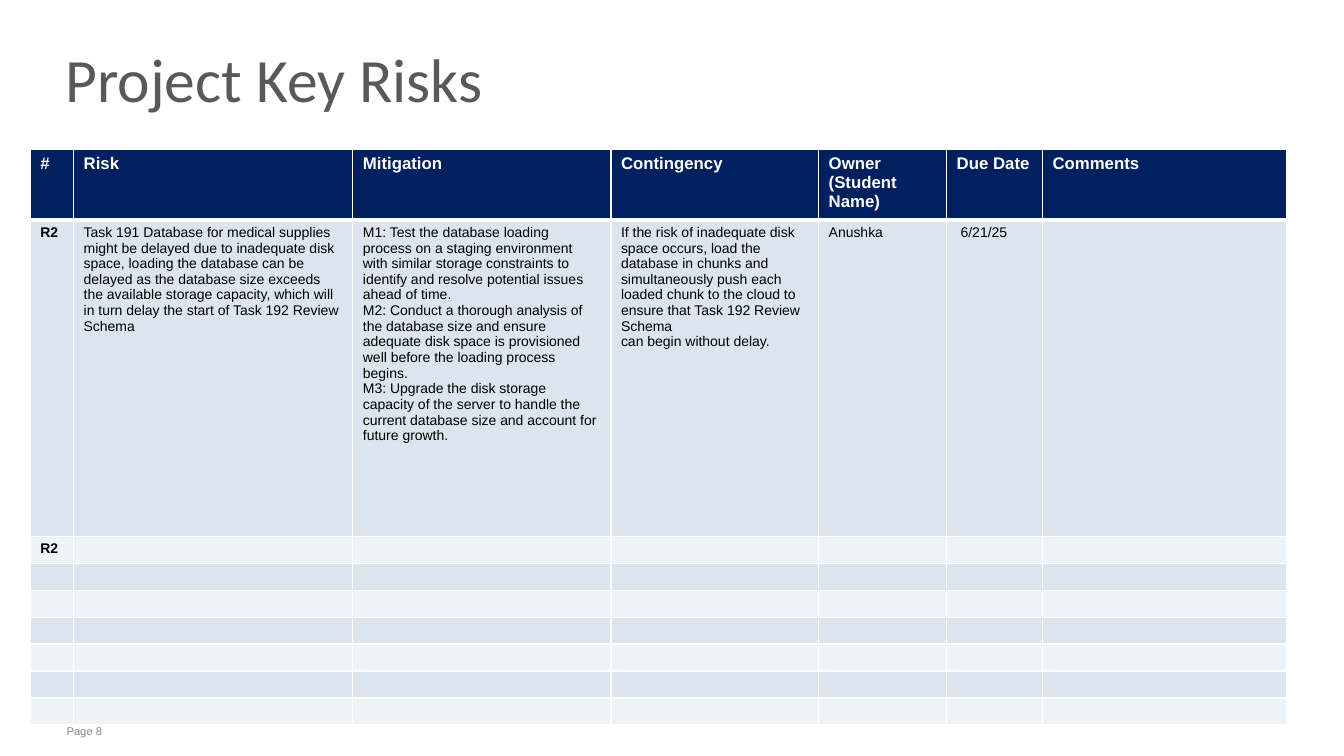
import pptx
import pptx.dml.color
import pptx.enum.text
import pptx.oxml.ns
import pptx.util
from lxml import etree

Inches = pptx.util.Inches
Pt = pptx.util.Pt
qn = pptx.oxml.ns.qn

COLUMNS = [0.43, 2.77, 2.56, 2.06, 1.27, 0.95, 2.42]
ROWS = [0.65, 3.14] + [0.25] * 7
HEADER = ["#", "Risk", "Mitigation", "Contingency", "Owner\n(Student Name)", "Due Date", "Comments"]
DATABASE_RISK = [
    "R2",
    "Task 191 Database for medical supplies might be delayed due to inadequate disk space, "
    "loading the database can be delayed as the database size exceeds the available storage "
    "capacity, which will in turn delay the start of Task 192 Review Schema",
    "M1: Test the database loading process on a staging environment with similar storage "
    "constraints to identify and resolve potential issues ahead of time.\n"
    "M2: Conduct a thorough analysis of the database size and ensure adequate disk space is "
    "provisioned well before the loading process begins.\n"
    "M3: Upgrade the disk storage capacity of the server to handle the current database size "
    "and account for future growth.",
    "If the risk of inadequate disk space occurs, load the database in chunks and "
    "simultaneously push each loaded chunk to the cloud to ensure that Task 192 Review Schema\n"
    "can begin without delay.",
    "Anushka",
    " 6/21/25",
]
RISKS = [HEADER, DATABASE_RISK, ["R2"]]


def rgb(color):
    """Turn a hex string into a colour."""
    return pptx.dml.color.RGBColor.from_string(color)


def set_font(p, name, size, color, bold=False):
    """Set the font of a whole paragraph."""
    p.font.name = name
    p.font.size = Pt(size)
    p.font.bold = bold
    p.font.color.rgb = rgb(color)


def add_text(slide, box, text, name, size, color, inset):
    """Place one line of text in a box and return its frame."""
    tf = slide.shapes.add_textbox(*map(Inches, box)).text_frame
    tf.word_wrap = True
    tf.margin_left = tf.margin_right = Inches(0.08)
    tf.margin_top = tf.margin_bottom = Inches(inset)
    tf.text = text
    set_font(tf.paragraphs[0], name, size, color)
    return tf


def add_title(slide, box):
    """Place the slide title."""
    tf = add_text(slide, box, "Project Key Risks", "Calibri", 44, "595959", 0)
    tf.vertical_anchor = pptx.enum.text.MSO_ANCHOR.MIDDLE
    tf.paragraphs[0].line_spacing = 0.75


def set_borders(cell, top, bottom):
    """Draw white cell borders with the given top and bottom widths."""
    tcPr = cell._tc.get_or_add_tcPr()
    for side, width in zip("LRTB", (1, 1, top, bottom)):
        ln = etree.SubElement(tcPr, qn("a:ln" + side), w=str(Pt(width)))
        fill = etree.SubElement(ln, qn("a:solidFill"))
        etree.SubElement(fill, qn("a:srgbClr"), val="FFFFFF")


def fill_cell(cell, text, row, col):
    """Write and colour one cell by its place in the table."""
    header = row == 0
    set_borders(cell, 3 if row == 1 else 1, 3 if header else 1)
    cell.fill.solid()
    cell.fill.fore_color.rgb = rgb("002060" if header else "DCE5EE" if row % 2 else "EEF3F7")
    cell.text = text
    for p in cell.text_frame.paragraphs:
        set_font(p, "Arial", 12 if header else 10, "FFFFFF" if header else "000000", header or col == 0)
        if not text:
            etree.SubElement(p._p, qn("a:endParaRPr"), sz="1000")


def add_risk_table(slide, left, top):
    """Place the risk table with its top left corner at the given point."""
    size = (left, top, sum(COLUMNS), sum(ROWS))
    table = slide.shapes.add_table(len(ROWS), len(COLUMNS), *map(Inches, size)).table
    for column, width in zip(table.columns, COLUMNS):
        column.width = Inches(width)
    for r, height in enumerate(ROWS):
        table.rows[r].height = Inches(height)
        texts = RISKS[r] if r < len(RISKS) else []
        for c in range(len(COLUMNS)):
            fill_cell(table.cell(r, c), texts[c] if c < len(texts) else "", r, c)


def main():
    """Build and save the slide."""
    prs = pptx.Presentation()
    prs.slide_width, prs.slide_height = Inches(13.33), Inches(7.5)
    slide = prs.slides.add_slide(prs.slide_layouts[6])
    add_text(slide, (0.58, 7.14, 10.79, 0.24), "Page 8", "Arial", 8, "87888A", 0.05)
    add_title(slide, (0.57, 0.26, 10.93, 1.19))
    add_risk_table(slide, 0.3, 1.48)
    prs.save("out.pptx")


if __name__ == "__main__":
    main()
